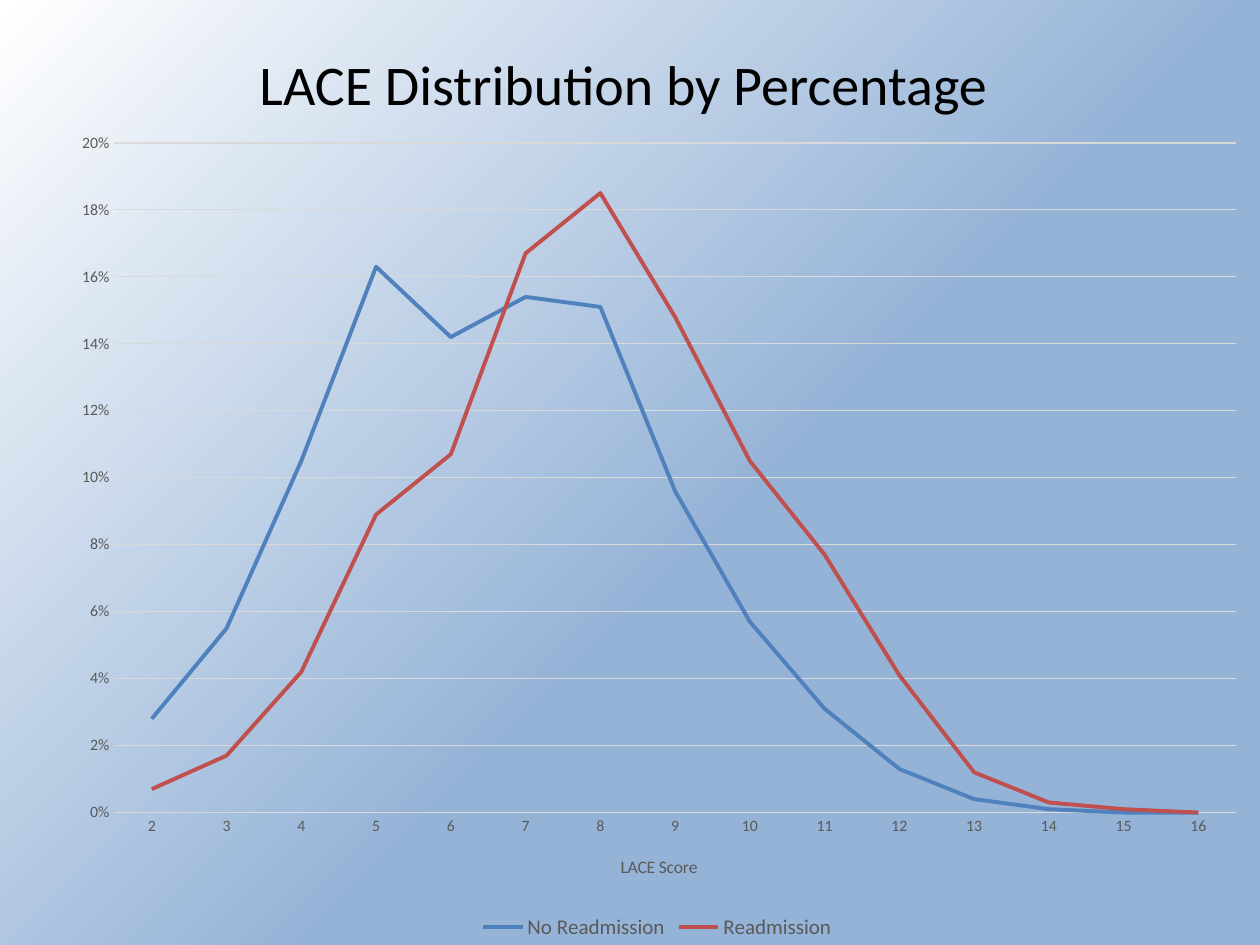
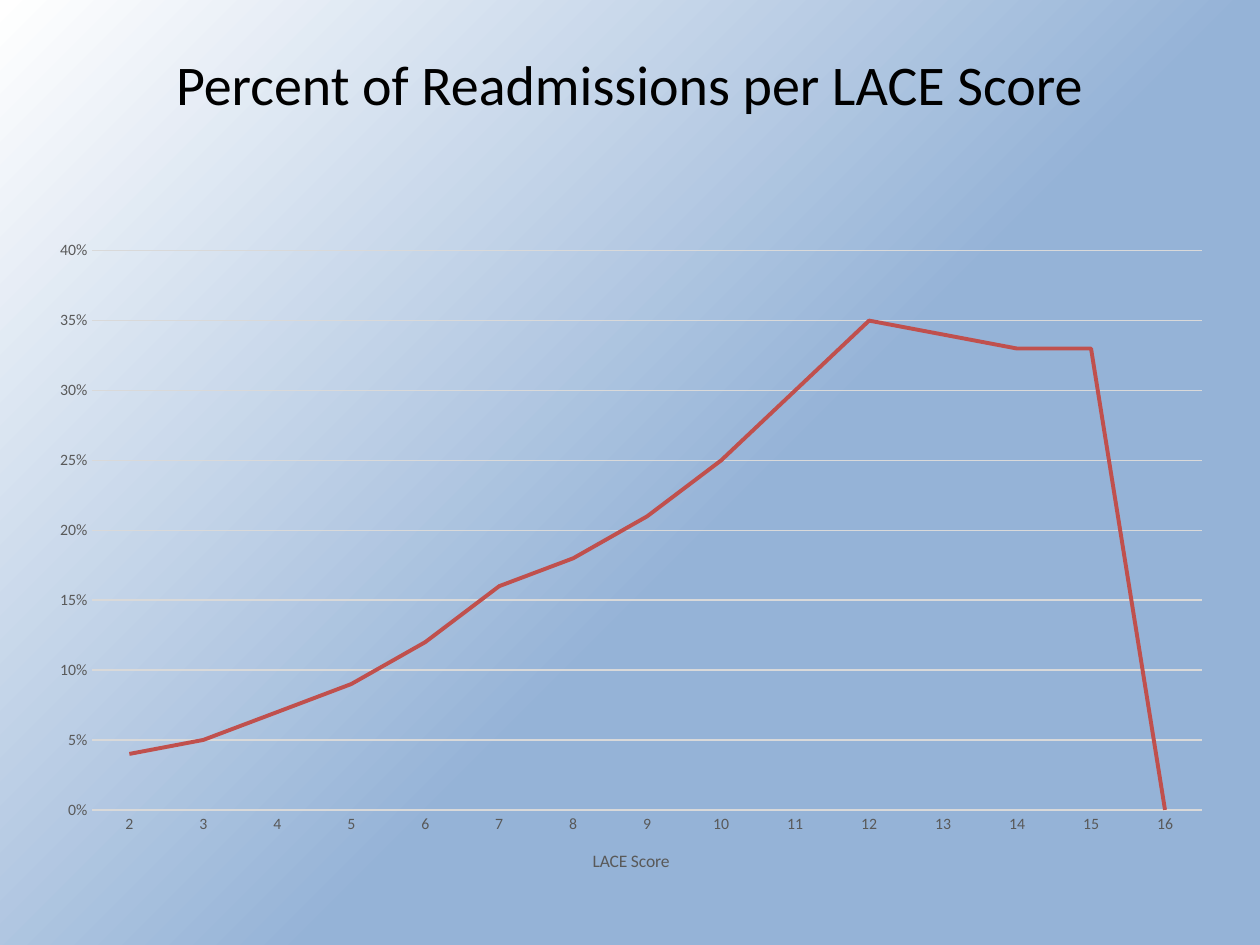
from lxml.etree import SubElement
from pptx import Presentation
from pptx.chart.data import CategoryChartData
from pptx.dml.color import RGBColor
from pptx.enum.chart import XL_CHART_TYPE, XL_LEGEND_POSITION, XL_TICK_MARK
from pptx.enum.text import MSO_ANCHOR, PP_ALIGN
from pptx.oxml import parse_xml
from pptx.oxml.ns import nsdecls, qn
from pptx.util import Inches, Pt

BLACK = RGBColor(0x00, 0x00, 0x00)
WHITE = RGBColor(0xFF, 0xFF, 0xFF)
SKY = RGBColor(0x95, 0xB3, 0xD7)
BLUE = RGBColor(0x4F, 0x81, 0xBD)
RED = RGBColor(0xC0, 0x50, 0x4D)
GRAY = RGBColor(0x59, 0x59, 0x59)
GRID = RGBColor(0xD9, 0xD9, 0xD9)
FONT = "Calibri"
TITLE_ONLY = 5

SCORES = [str(score) for score in range(2, 17)]
NO_READMISSION = [0.028, 0.055, 0.105, 0.163, 0.142, 0.154, 0.151, 0.096,
                  0.057, 0.031, 0.013, 0.004, 0.001, 0, 0]
READMISSION = [0.007, 0.017, 0.042, 0.089, 0.107, 0.167, 0.185, 0.148,
               0.105, 0.077, 0.041, 0.012, 0.003, 0.001, 0]
READMISSION_RATE = [0.04, 0.05, 0.07, 0.09, 0.12, 0.16, 0.18, 0.21,
                    0.25, 0.3, 0.35, 0.34, 0.33, 0.33, 0]


class LaceDeck:
    def __init__(self):
        self.deck = Presentation()
        self.deck.slide_width = Inches(10)
        self.deck.slide_height = Inches(7.5)
        self.page = None
        self.paint_background()

    def paint_background(self):
        master = self.deck.slide_master
        fill = master.background.fill
        fill.gradient()
        for stop, color, position in zip(fill.gradient_stops, (SKY, WHITE), (0.43, 1)):
            stop.color.rgb = color
            stop.position = position
        gradient = next(master.element.iter(qn("a:gradFill")))
        corner = parse_xml(
            f'<a:path {nsdecls("a")} path="circle">'
            '<a:fillToRect l="100000" t="100000"/></a:path>')
        gradient.replace(gradient.find(qn("a:lin")), corner)

    def share(self, left, top, width, height):
        across, down = self.deck.slide_width, self.deck.slide_height
        return (round(left * across), round(top * down),
                round(width * across), round(height * down))

    def style(self, font, size, color):
        font.name = FONT
        font.size = Pt(size)
        font.bold = False
        font.color.rgb = color

    def add_page(self, title):
        layout = self.deck.slide_layouts[TITLE_ONLY]
        self.page = self.deck.slides.add_slide(layout)
        box = self.page.shapes.title
        box.left, box.top, box.width, box.height = self.share(0.05, 0.03, 0.9, 0.115)
        box.text_frame.text = title
        box.text_frame.vertical_anchor = MSO_ANCHOR.MIDDLE
        para = box.text_frame.paragraphs[0]
        para.alignment = PP_ALIGN.CENTER
        for span in para.runs:
            self.style(span.font, 32, BLACK)

    def add_line_chart(self, place, lines, top_value, step, plot_height, legend=False):
        data = CategoryChartData(number_format="0%")
        data.categories = SCORES
        for name, values, _ in lines:
            data.add_series(name, values)
        chart = self.page.shapes.add_chart(
            XL_CHART_TYPE.LINE, *self.share(*place), data).chart
        self.style(chart.font, 10, BLACK)
        chart.has_title = False
        chart.plots[0].vary_by_categories = False
        for series, (_, _, color) in zip(chart.plots[0].series, lines):
            series.smooth = False
            series.format.line.color.rgb = color
            series.format.line.width = Pt(2.25)
        self.format_axes(chart, top_value, step)
        self.place_plot(chart, plot_height)
        chart.has_legend = legend
        if legend:
            chart.legend.position = XL_LEGEND_POSITION.BOTTOM
            chart.legend.include_in_layout = False
            self.style(chart.legend.font, 12, GRAY)

    def format_axes(self, chart, top_value, step):
        scores, percents = chart.category_axis, chart.value_axis
        for axis in (scores, percents):
            axis.major_tick_mark = XL_TICK_MARK.NONE
            axis.minor_tick_mark = XL_TICK_MARK.NONE
            self.style(axis.tick_labels.font, 9, GRAY)
        caption = scores.axis_title.text_frame
        caption.text = "LACE Score"
        self.style(caption.paragraphs[0].runs[0].font, 10, GRAY)
        percents.minimum_scale = 0
        percents.maximum_scale = top_value
        percents.major_unit = step
        percents.tick_labels.number_format = "0%"
        percents.tick_labels.number_format_is_linked = False
        percents.format.line.fill.background()
        for line in (scores.format.line, percents.major_gridlines.format.line):
            line.color.rgb = GRID
            line.width = Pt(0.75)

    def place_plot(self, chart, height):
        area = next(chart.element.iter(qn("c:plotArea")))
        for automatic in area.findall(qn("c:layout")):
            area.remove(automatic)
        layout = parse_xml(f'<c:layout {nsdecls("c")}><c:manualLayout/></c:layout>')
        settings = {"layoutTarget": "inner", "xMode": "edge", "yMode": "edge",
                    "x": 0.05, "y": 0.03, "w": 0.93, "h": height}
        for name, value in settings.items():
            SubElement(layout[0], qn(f"c:{name}")).set("val", str(value))
        area.insert(0, layout)


def main():
    lace = LaceDeck()

    lace.add_page("LACE Distribution by Percentage ")
    lace.add_line_chart(
        (0.043, 0.125, 0.957, 0.875),
        [("No Readmission", NO_READMISSION, BLUE), ("Readmission", READMISSION, RED)],
        top_value=0.2, step=0.02, plot_height=0.81, legend=True)

    lace.add_page("Percent of Readmissions per LACE Score")
    lace.add_line_chart(
        (0.026, 0.244, 0.947, 0.713),
        [("Series 1", READMISSION_RATE, RED)],
        top_value=0.4, step=0.05, plot_height=0.83)

    lace.deck.save("out.pptx")


if __name__ == "__main__":
    main()
